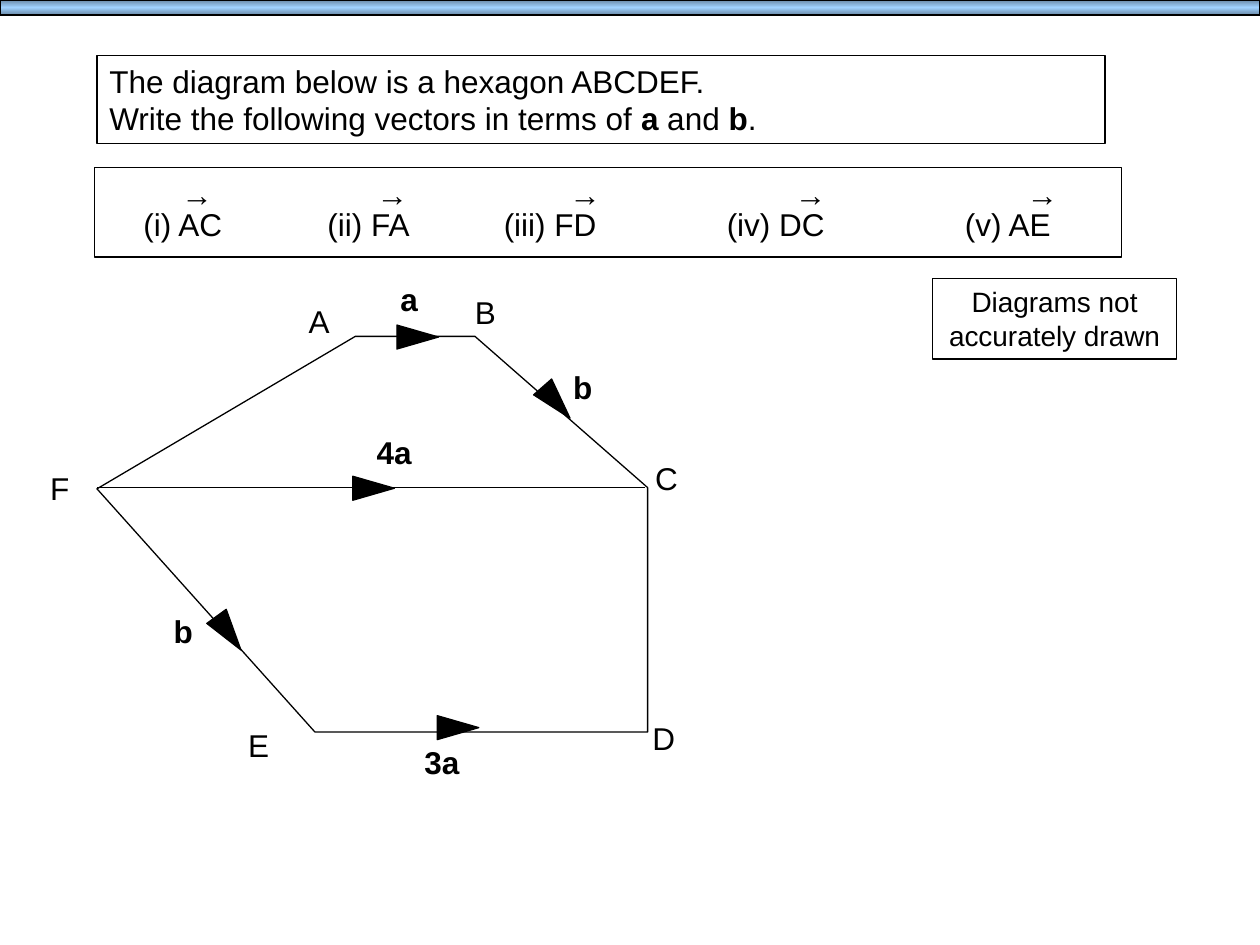
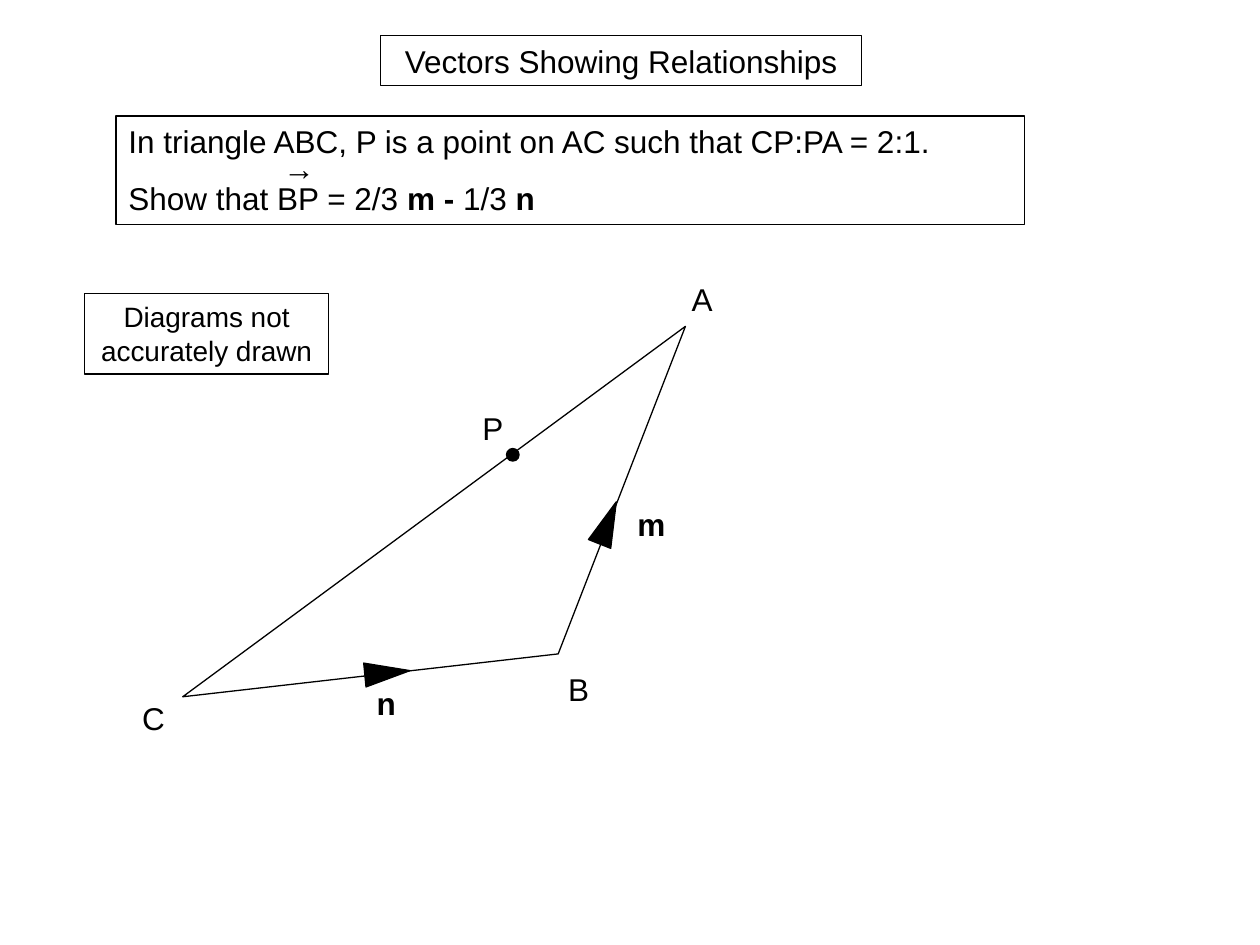
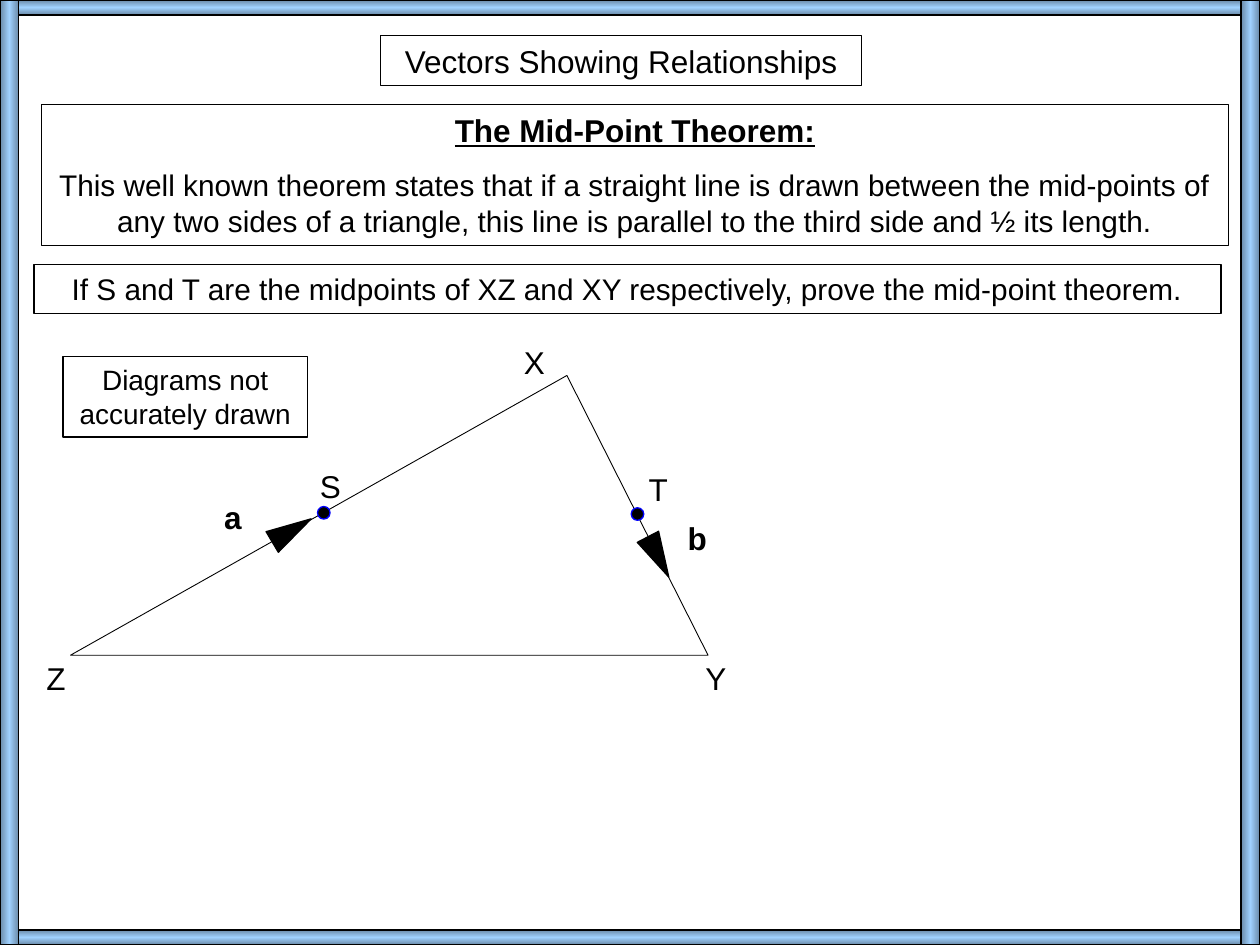
"""Builds three slides of vector geometry questions with labelled diagrams."""
from copy import deepcopy

from lxml.etree import SubElement
from pptx import Presentation
from pptx.dml.color import RGBColor
from pptx.enum.shapes import MSO_CONNECTOR, MSO_SHAPE
from pptx.enum.text import MSO_ANCHOR, MSO_AUTO_SIZE, PP_ALIGN
from pptx.oxml.ns import qn
from pptx.util import Inches, Pt

COLORS = {"ink": "000000", "dot": "0000FF", "band_edge": "6989A7", "band_middle": "A0D1FE"}
FONT = "Arial"
LABEL_HEIGHT = 0.4
DOT_SIZE = 0.1
TITLE_ONLY, BLANK = 5, 6
TITLE = "Vectors Showing Relationships"
TITLE_PLACE = (3.02, 0.28, 3.82, 0.4)
NOTE = "Diagrams not accurately drawn"
TOP_BAND = ((0, 0, 10, 0.12), 270)
FRAME = [TOP_BAND, ((0, 7.38, 10, 0.12), 270),
         ((0, 0, 0.15, 7.5), 180), ((9.85, 0, 0.15, 7.5), 180)]

VECTORS = ["(i) AC", "(ii) FA", "(iii) FD", "(iv) DC", "(v) AE"]
VECTOR_TABS = [1.46, 2.86, 4.63, 6.52]
VECTOR_ARROWS = [1.34, 2.89, 4.42, 6.21, 8.05]

HEXAGON = {
    "outline": [(2.5, 5.81), (5.14, 5.81), (5.14, 3.87), (3.77, 2.67), (2.82, 2.67), (0.77, 3.88)],
    "line_width": 0.75,
    "labels": [("A", 2.35, 2.35), ("B", 3.67, 2.28), ("C", 5.1, 3.59), ("D", 5.08, 5.66),
               ("E", 1.87, 5.71), ("F", 0.3, 3.67), ("**a**", 3.08, 2.17), ("**b**", 4.45, 2.87),
               ("**4a**", 2.89, 3.39), ("**3a**", 3.27, 5.85), ("**b**", 1.28, 4.81)],
    "arrowheads": [(2.87, 3.71, 90), (3.54, 5.61, 90), (3.22, 2.51, 90),
                   (4.32, 3.03, 138.8), (1.72, 4.86, 144)],
    "arrowhead_length": 0.33,
    "dots": [],
    "note": (7.4, 2.21),
}
TRIANGLE_ABC = {
    "outline": [(1.45, 5.53), (4.43, 5.19), (5.44, 2.59)],
    "line_width": 0.75,
    "labels": [("C", 1.03, 5.5), ("A", 5.39, 2.17), ("B", 4.41, 5.27), ("P", 3.73, 3.2),
               ("**m**", 4.96, 3.96), ("**n**", 2.89, 5.38)],
    "arrowheads": [(4.73, 3.97, 21.7), (2.98, 5.16, 84.5)],
    "arrowhead_length": 0.36,
    "dots": [(4.02, 3.56, "ink")],
    "note": (0.67, 2.33),
}
TRIANGLE_XYZ = {
    "outline": [(5.62, 5.2), (0.56, 5.2), (4.5, 2.98)],
    "line_width": 0.5,
    "labels": [("Z", 0.27, 5.18), ("X", 4.06, 2.67), ("Y", 5.5, 5.18), ("S", 2.44, 3.66),
               ("T", 5.05, 3.68), ("**a**", 1.68, 3.9), ("**b**", 5.36, 4.07)],
    "arrowheads": [(2.22, 4.03, 59.3), (5.13, 4.24, 152.6)],
    "arrowhead_length": 0.36,
    "dots": [(2.52, 4.02, "dot"), (5.01, 4.03, "dot")],
    "note": (0.5, 2.83),
}


def rgb(name):
    return RGBColor.from_string(COLORS[name])


def inches(place):
    return [Inches(value) for value in place]


def set_line(shape, color="ink", width=0.75):
    shape.line.color.rgb = rgb(color)
    shape.line.width = Pt(width)


def write_text(shape, *lines, size=18, align=PP_ALIGN.LEFT, space=0, heading=False, tabs=()):
    """Write lines into a shape, with the parts between double asterisks in bold."""
    frame = shape.text_frame
    frame.word_wrap = True
    frame.auto_size = MSO_AUTO_SIZE.NONE
    frame.vertical_anchor = MSO_ANCHOR.TOP
    for index, line in enumerate(lines):
        paragraph = frame.add_paragraph() if index else frame.paragraphs[0]
        is_heading = heading and index == 0
        paragraph.alignment = align
        paragraph.space_before = Pt(space if index else 0)
        if tabs:
            tab_list = SubElement(paragraph._p.get_or_add_pPr(), qn("a:tabLst"))
            for tab in tabs:
                SubElement(tab_list, qn("a:tab"), pos=str(Inches(tab)), algn="l")
        for part, text in enumerate(line.split("**")):
            if not text:
                continue
            run = paragraph.add_run()
            run.text = text
            run.font.name = FONT
            run.font.size = Pt(size + 1 if is_heading else size)
            run.font.bold = is_heading or part % 2 == 1
            run.font.underline = is_heading
            run.font.color.rgb = rgb("ink")


def add_label(slide, text, left, top, width=0.65, **text_format):
    label = slide.shapes.add_textbox(*inches((left, top, width, LABEL_HEIGHT)))
    write_text(label, text, **text_format)


def add_preset(slide, preset, place, fill=None, line="ink"):
    shape = slide.shapes.add_shape(preset, *inches(place))
    shape.shadow.inherit = False
    if fill:
        shape.fill.solid()
        shape.fill.fore_color.rgb = rgb(fill)
    else:
        shape.fill.background()
    set_line(shape, line)
    return shape


def add_box(slide, place, *lines, **text_format):
    box = add_preset(slide, MSO_SHAPE.RECTANGLE, place)
    if lines:
        write_text(box, *lines, **text_format)


def add_band(slide, place, angle):
    band = add_preset(slide, MSO_SHAPE.RECTANGLE, place)
    band.fill.gradient()
    band.fill.gradient_angle = angle
    stop_list = band._element.spPr.find(qn("a:gradFill")).find(qn("a:gsLst"))
    stop_list.append(deepcopy(stop_list[-1]))
    names = ["band_edge", "band_middle", "band_edge"]
    for stop, name, position in zip(band.fill.gradient_stops, names, [0, 0.5, 1]):
        stop.color.rgb = rgb(name)
        stop.position = position


def add_line(slide, start, end):
    line = slide.shapes.add_connector(MSO_CONNECTOR.STRAIGHT, *inches(start + end))
    set_line(line, width=1)
    SubElement(line._element.spPr, qn("a:effectLst"))


def add_diagram(slide, diagram):
    points = [inches(point) for point in diagram["outline"]]
    builder = slide.shapes.build_freeform(*points[0])
    builder.add_line_segments(points[1:], close=True)
    outline = builder.convert_to_shape()
    outline.shadow.inherit = False
    outline.fill.background()
    set_line(outline, width=diagram["line_width"])
    for left, top, angle in diagram["arrowheads"]:
        place = (left, top, 0.19, diagram["arrowhead_length"])
        arrowhead = add_preset(slide, MSO_SHAPE.ISOSCELES_TRIANGLE, place, fill="ink")
        arrowhead.rotation = angle
    for left, top, color in diagram["dots"]:
        add_preset(slide, MSO_SHAPE.OVAL, (left, top, DOT_SIZE, DOT_SIZE), fill="ink", line=color)
    for text, left, top in diagram["labels"]:
        add_label(slide, text, left, top)
    add_box(slide, (*diagram["note"], 1.94, 0.64), NOTE, size=16, align=PP_ALIGN.CENTER)


def add_slide(presentation, bands=(), title=None):
    layout = presentation.slide_layouts[TITLE_ONLY if title else BLANK]
    slide = presentation.slides.add_slide(layout)
    for place, angle in bands:
        add_band(slide, place, angle)
    if title:
        shape = slide.shapes.title
        shape.left, shape.top, shape.width, shape.height = inches(TITLE_PLACE)
        set_line(shape)
        write_text(shape, title, align=PP_ALIGN.CENTER)
    return slide


def build_hexagon_slide(presentation):
    slide = add_slide(presentation, bands=[TOP_BAND])
    add_box(slide, (0.77, 0.44, 8, 0.7), "The diagram below is a hexagon ABCDEF.",
            "Write the following vectors in terms of **a** and **b**.")
    add_label(slide, "\t".join(VECTORS), 1.04, 1.58, width=7.96, tabs=VECTOR_TABS)
    for left in VECTOR_ARROWS:
        add_label(slide, "→", left, 1.34)
    add_box(slide, (0.75, 1.33, 8.15, 0.71))
    add_diagram(slide, HEXAGON)
    add_line(slide, (0.77, 3.87), (5.12, 3.87))


def build_ratio_slide(presentation):
    slide = add_slide(presentation, title=TITLE)
    add_label(slide, "→", 2.15, 1.13)
    add_box(slide, (0.92, 0.92, 7.21, 0.86),
            "In triangle ABC, P is a point on AC such that CP:PA = 2:1.",
            "Show that BP = 2/3 **m - **1/3** n**", space=11.2)
    add_diagram(slide, TRIANGLE_ABC)


def build_theorem_slide(presentation):
    slide = add_slide(presentation, bands=FRAME, title=TITLE)
    add_box(slide, (0.33, 0.83, 9.42, 1.12), "The Mid-Point Theorem:",
            "This well known theorem states that if a straight line is drawn between the "
            "mid-points of any two sides of a triangle, this line is parallel to the third "
            "side and ½ its length.",
            size=17, align=PP_ALIGN.CENTER, space=10.6, heading=True)
    add_box(slide, (0.27, 2.1, 9.42, 0.39),
            "If S and T are the midpoints of XZ and XY respectively, prove the mid-point theorem.",
            size=17, align=PP_ALIGN.CENTER)
    add_diagram(slide, TRIANGLE_XYZ)


def main():
    presentation = Presentation()
    presentation.slide_width, presentation.slide_height = Inches(10), Inches(7.5)
    build_hexagon_slide(presentation)
    build_ratio_slide(presentation)
    build_theorem_slide(presentation)
    presentation.save("out.pptx")


if __name__ == "__main__":
    main()
